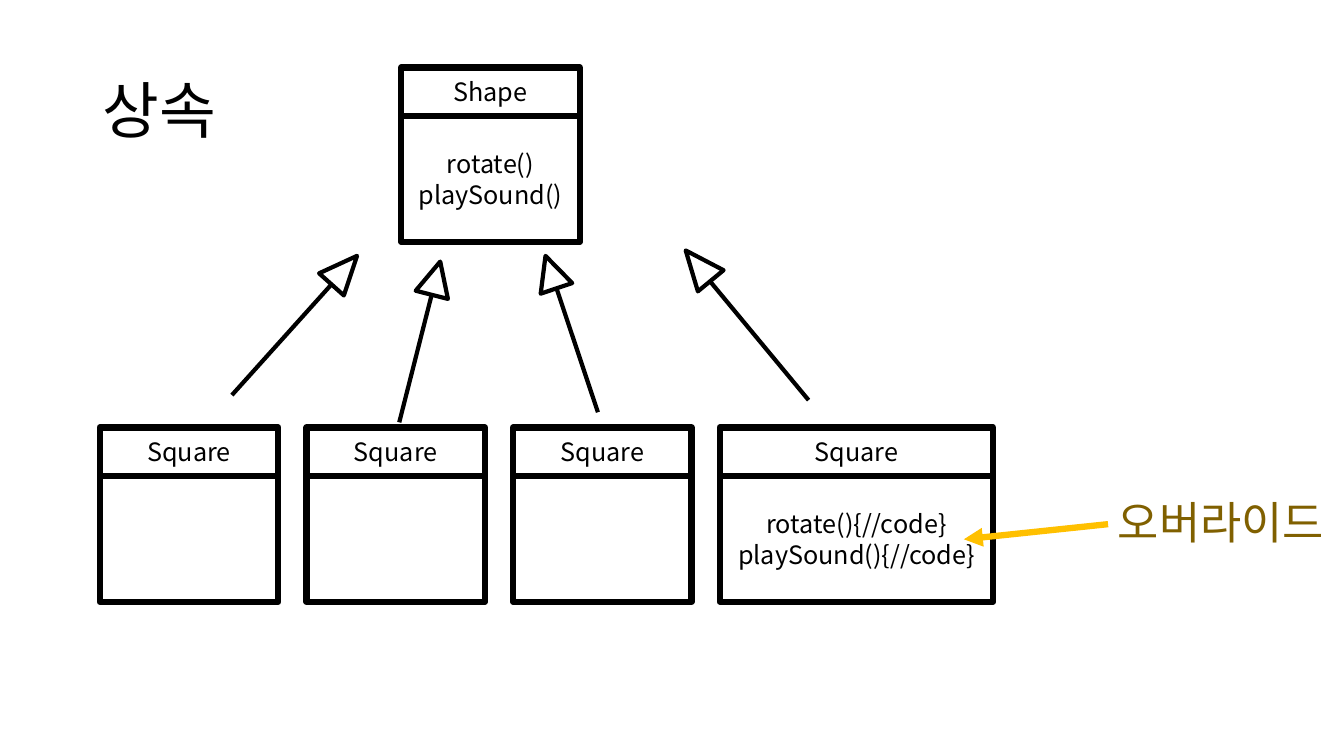
from lxml.etree import SubElement
from pptx import Presentation
from pptx.dml.color import RGBColor
from pptx.enum.shapes import MSO_CONNECTOR, MSO_SHAPE
from pptx.enum.text import MSO_ANCHOR, PP_ALIGN
from pptx.oxml.ns import qn
from pptx.util import Inches, Pt

INK = {"black": "000000", "white": "FFFFFF", "brown": "806000", "gold": "FFC000"}
FONT = "Noto Sans CJK KR"

deck = Presentation()
deck.slide_width, deck.slide_height = Inches(13.33), Inches(7.5)
slide = deck.slides.add_slide(deck.slide_layouts[6])
shapes = slide.shapes
unit = deck.slide_height / 75


def write(shape, lines, size, ink, align, space):
    frame = shape.text_frame
    frame.word_wrap = True
    frame.vertical_anchor = MSO_ANCHOR.MIDDLE
    for i, line in enumerate(lines):
        para = frame.paragraphs[0] if i == 0 else frame.add_paragraph()
        para.alignment, para.line_spacing = align, space
        run = para.add_run()
        run.text = line
        run.font.name, run.font.size = FONT, Pt(size)
        run.font.color.rgb = RGBColor.from_string(INK[ink])
        SubElement(run.font._element, qn("a:ea"), typeface=FONT)


def connect(start, end, ink, width):
    ends = [round(n * unit) for n in (*start, *end)]
    line = shapes.add_connector(MSO_CONNECTOR.STRAIGHT, *ends)
    line.line.color.rgb = RGBColor.from_string(INK[ink])
    line.line.width = Pt(width)
    SubElement(line._element.spPr, qn("a:effectLst"))
    return line


labels = [
    ("상속", (9.2, 4, 115, 14.5), 44, "black"),
    ("오버라이드", (109.9, 44.8, 23.4, 14.5), 32, "brown"),
]
for text, area, size, ink in labels:
    box = shapes.add_textbox(*[round(n * unit) for n in area])
    write(box, [text], size, ink, PP_ALIGN.LEFT, 0.9)

left, step, wide, head, body = 9.9, 20.5, 17.7, 4.8, 12.5
code = ["rotate(){//code}", "playSound(){//code}"]
cards = [("Shape", 39.8, 6.7, wide, ["rotate()", "playSound()"])]
for i in range(4):
    last = i == 3
    cards.append(("Square", left + i * step, 42.4, 27.1 if last else wide, code if last else []))

for name, x, y, width, calls in cards:
    for lines, top, tall in (([name], y, head), (calls, y + head, body)):
        area = [round(n * unit) for n in (x, top, width, tall)]
        cell = shapes.add_shape(MSO_SHAPE.RECTANGLE, *area)
        cell.shadow.inherit = False
        cell.fill.solid()
        cell.fill.fore_color.rgb = RGBColor.from_string(INK["white"])
        cell.line.color.rgb = RGBColor.from_string(INK["black"])
        cell.line.width = Pt(4.5)
        write(cell, lines, 18, "black", PP_ALIGN.CENTER, 1)

links = [
    ((32.8, 28.3), (23, 39.2), (32.5, 24.9), 3.8, 41.8),
    ((42.8, 29.3), (39.6, 41.9), (41.6, 25.9), 3.4, 14.2),
    ((55.2, 28.6), (59.3, 40.9), (53, 25.3), 3.4, 341.4),
    ((70.5, 28), (80.2, 39.7), (67.6, 24.4), 3.9, 320.5),
]
for start, end, spot, tall, turn in links:
    connect(start, end, "black", 3)
    area = [round(n * unit) for n in (*spot, 3.3, tall)]
    tip = shapes.add_shape(MSO_SHAPE.ISOSCELES_TRIANGLE, *area)
    tip.shadow.inherit = False
    tip.rotation = turn
    tip.fill.background()
    tip.line.color.rgb = RGBColor.from_string(INK["black"])
    tip.line.width = Pt(3)

arrow = connect((109.9, 52), (95.6, 53.5), "gold", 4.5)
SubElement(arrow.line._get_or_add_ln(), qn("a:tailEnd"), type="triangle")

deck.save("out.pptx")
